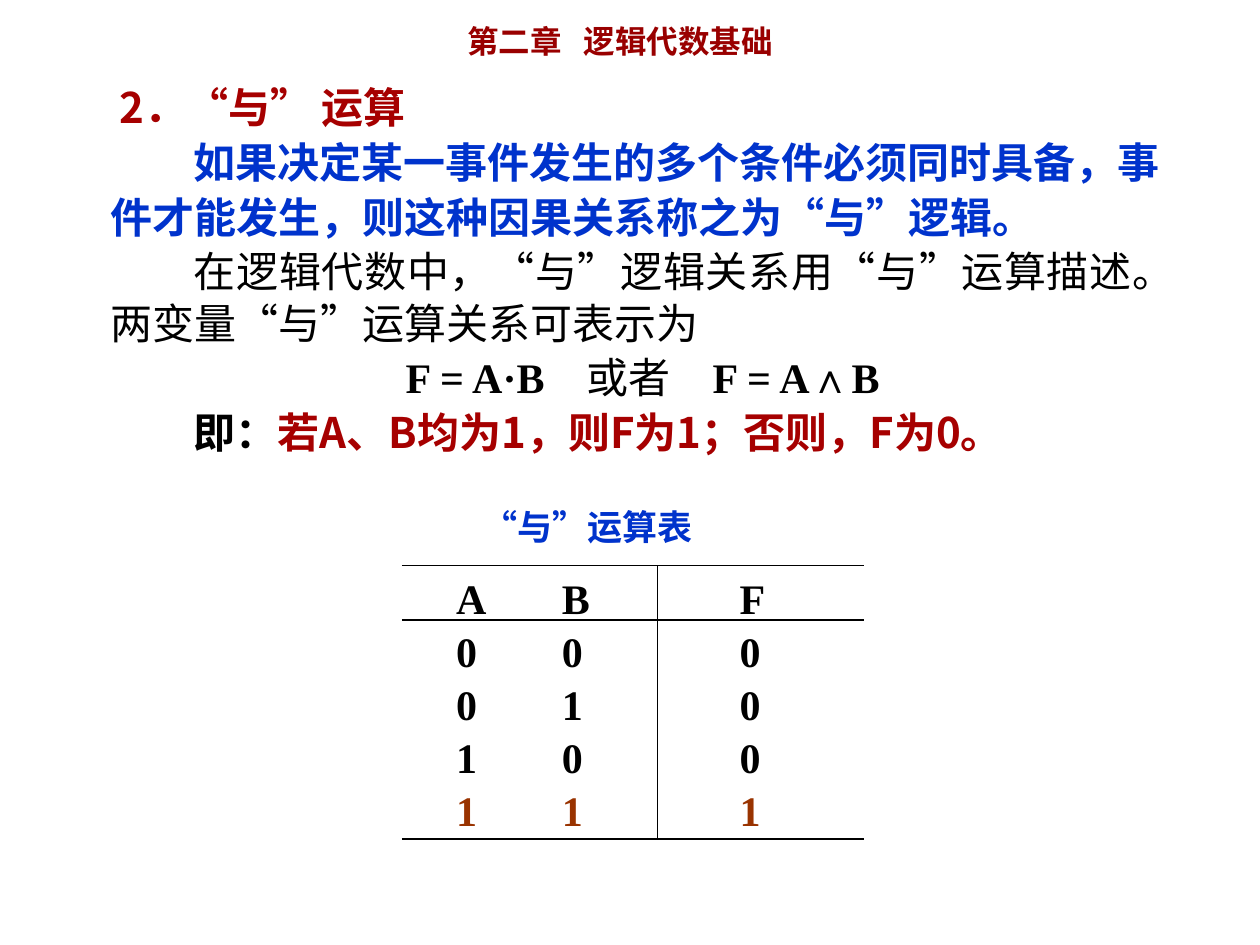
import lxml.etree
import pptx
import pptx.dml.color
import pptx.enum.shapes
import pptx.enum.text
import pptx.oxml.ns
import pptx.util

Inches = pptx.util.Inches
Pt = pptx.util.Pt
qn = pptx.oxml.ns.qn
ALIGN = pptx.enum.text.PP_ALIGN

SANS = "Noto Sans CJK SC"
TITLE_SANS = "Noto Sans CJK JP"
SERIF = "Times New Roman"
BLACK, BLUE, RED = "000000", "0033CC", "A60000"
TITLE_RED, BROWN = "990000", "993300"
LINE_RATIO = 1.22
BODY_LEFT = 0.11
TWO_CHARACTERS = 0.66


def color(value):
    return pptx.dml.color.RGBColor.from_string(value)


def apply(target, values):
    for name, value in values.items():
        setattr(target, name, value)


def add_run(paragraph, text, size, font=SANS, ink=BLACK, bold=True, spacing=0):
    run = paragraph.add_run()
    run.text = text
    apply(run.font, {"size": Pt(size), "name": font, "bold": bold})
    run.font.color.rgb = color(ink)
    # Chinese characters need their own typeface entry
    east_asian = TITLE_SANS if font == TITLE_SANS else SANS
    properties = run.font._element
    lxml.etree.SubElement(properties, qn("a:ea"), typeface=east_asian)
    if spacing:
        properties.set("spc", str(round(spacing * 100)))


def add_text(slide, box, size, paragraphs, fixed_lines=True):
    """Each paragraph is (format, left, first-line indent, runs)."""
    shape = slide.shapes.add_textbox(*map(Inches, box))
    frame = shape.text_frame
    frame.word_wrap = True
    for index, (values, left, indent, runs) in enumerate(paragraphs):
        paragraph = frame.add_paragraph() if index else frame.paragraphs[0]
        apply(paragraph, values)
        if fixed_lines:
            paragraph.line_spacing = Pt(round(size * LINE_RATIO, 1))
        if index:
            paragraph.space_before = Pt(2)
        properties = paragraph._p.get_or_add_pPr()
        properties.set("marL", str(Inches(left)))
        properties.set("indent", str(Inches(indent)))
        for run in runs:
            add_run(paragraph, run[0], size, *run[1:])


def add_rule(slide, *ends):
    connector = slide.shapes.add_connector(
        pptx.enum.shapes.MSO_CONNECTOR.STRAIGHT, *map(Inches, ends))
    connector.line.color.rgb = color(BLACK)
    connector.line.width = Pt(0.75)
    lxml.etree.SubElement(connector._element.spPr, qn("a:effectLst"))


def add_truth_table(slide, left, top, widths, height, margins, rows):
    box = map(Inches, (left, top, sum(widths), height * len(rows)))
    table = slide.shapes.add_table(len(rows), len(widths), *box).table
    apply(table, {"first_row": False, "horz_banding": False})
    # Plain style without a grid
    style = table._tbl.tblPr.find(qn("a:tableStyleId"))
    style.text = "{2D5ABB26-0587-4C30-8999-92F81FD0307C}"
    for column, width in zip(table.columns, widths):
        column.width = Inches(width)
    for i, values in enumerate(rows):
        table.rows[i].height = Inches(height)
        ink = BROWN if i == len(rows) - 1 else BLACK
        for j, value in enumerate(values):
            cell = table.cell(i, j)
            apply(cell, {
                "margin_left": Inches(margins[j]),
                "margin_right": 0,
                "margin_top": 0,
                "margin_bottom": 0,
                "vertical_anchor": pptx.enum.text.MSO_ANCHOR.BOTTOM,
            })
            cell.fill.background()
            add_run(cell.text_frame.paragraphs[0], value, 24, SERIF, ink)


def main():
    presentation = pptx.Presentation()
    apply(presentation, {"slide_width": Inches(10), "slide_height": Inches(7.5)})
    slide = presentation.slides.add_slide(presentation.slide_layouts[6])

    # Chapter title
    add_text(slide, (3.61, 0.12, 3.24, 0.4), 18, [
        ({}, 0, 0, [
            ("第二章", TITLE_SANS, TITLE_RED),
            (" ", TITLE_SANS, TITLE_RED, True, 8.5),
            ("逻辑代数基础", TITLE_SANS, TITLE_RED),
        ]),
    ])

    # Definition of the AND operation
    add_text(slide, (0.67, 0.59, 8.75, 3.1), 24, [
        ({}, BODY_LEFT, 0.07, [
            ("2．", SANS, RED),
            ("“", "Arial", RED),
            ("与", SANS, RED),
            ("”", "Arial", RED),
            (" 运算", SANS, RED),
        ]),
        ({}, BODY_LEFT, TWO_CHARACTERS, [
            ("如果决定某一事件发生的多个条件必须同时具备，事", SANS, BLUE),
        ]),
        ({}, BODY_LEFT, 0, [
            ("件才能发生，则这种因果关系称之为“与”逻辑。", SANS, BLUE),
        ]),
        ({"alignment": ALIGN.JUSTIFY}, BODY_LEFT, TWO_CHARACTERS, [
            ("在逻辑代数中，“与”逻辑关系用“与”运算描述。"
             "两变量“与”运算关系可表示为", SERIF, BLACK, False),
        ]),
        ({"alignment": ALIGN.CENTER}, BODY_LEFT, 0, [
            ("F = A·B　", SERIF),
            ("或者　", SERIF, BLACK, False),
            ("F = A∧B", SERIF),
        ]),
        ({}, BODY_LEFT, TWO_CHARACTERS, [
            ("即：", SERIF),
            ("若A、B均为1，则F为1；否则，F为0。", SANS, RED),
        ]),
    ])

    # Rules of the truth table
    left, right, divider = 3.19, 6.86, 5.22
    top, header_bottom, bottom = 4.49, 4.92, 6.66
    for y in (top, header_bottom, bottom):
        add_rule(slide, left, y, right, y)
    add_rule(slide, divider, top, divider, bottom)

    # Truth table and its caption
    add_truth_table(
        slide, left, 4.53,
        widths=(0.84, 1.19, 1.64),
        height=0.42,
        margins=(0.43, 0.43, 0.65),
        rows=("ABF", "000", "010", "100", "111"),
    )
    add_text(slide, (3.42, 3.96, 3.08, 0.5), 20, [
        ({}, 0.31, 0, [
            ("“", SERIF, BLUE),
            ("与", SANS, BLUE),
            ("”", SERIF, BLUE),
            ("运算表", SANS, BLUE),
        ]),
    ], fixed_lines=False)

    presentation.save("out.pptx")


if __name__ == "__main__":
    main()
